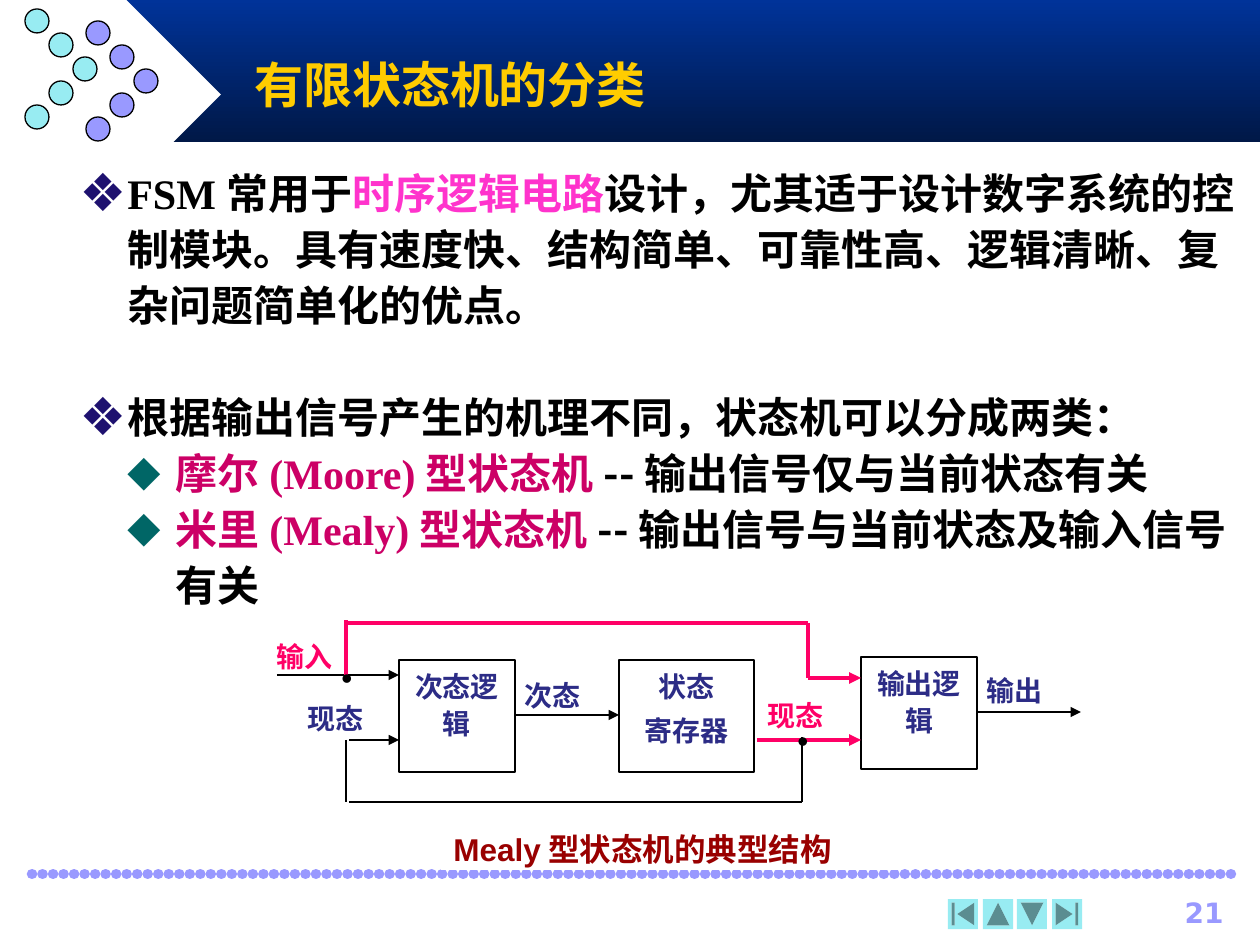
"""Build the slide on the classification of finite state machines."""
from lxml import etree
from pptx import Presentation
from pptx.dml.color import RGBColor
from pptx.enum.dml import MSO_LINE
from pptx.enum.shapes import MSO_CONNECTOR, MSO_SHAPE
from pptx.enum.text import MSO_ANCHOR, PP_ALIGN
from pptx.oxml.ns import qn
from pptx.util import Pt

PX = 914400 / 126
WHITE = RGBColor(0xFF, 0xFF, 0xFF)
BLACK = RGBColor(0x00, 0x00, 0x00)
BAND_TOP = RGBColor(0x00, 0x33, 0x99)
BAND_BOTTOM = RGBColor(0x00, 0x18, 0x47)
LILAC = RGBColor(0x99, 0x99, 0xFF)
AQUA = RGBColor(0x98, 0xEC, 0xF2)
GOLD = RGBColor(0xFF, 0xCC, 0x00)
PINK = RGBColor(0xFF, 0x33, 0xCC)
CRIMSON = RGBColor(0xCC, 0x00, 0x66)
ROSE = RGBColor(0xFF, 0x00, 0x66)
INDIGO = RGBColor(0x2C, 0x2C, 0x86)
MAROON = RGBColor(0x99, 0x00, 0x00)
NAVY = RGBColor(0x1E, 0x11, 0x6F)
TEAL = RGBColor(0x00, 0x66, 0x66)
SERIF, SANS, CJK = "Times New Roman", "Arial", "Noto Sans CJK SC"
DIGITS = "DejaVu Sans"


def add_panel(preset, box, fill=None, edge=None, weight=0.75):
    panel = slide.shapes.add_shape(preset, *(round(v * PX) for v in box))
    panel.shadow.inherit = False
    panel.text_frame.word_wrap = True
    panel.text_frame.vertical_anchor = MSO_ANCHOR.TOP
    if fill is None:
        panel.fill.background()
    else:
        panel.fill.solid()
        panel.fill.fore_color.rgb = fill
    if edge is None:
        panel.line.fill.background()
    else:
        panel.line.color.rgb = edge
        panel.line.width = Pt(weight)
    return panel


def set_font(font, size, name, color):
    font.size, font.name, font.bold = Pt(size), name, True
    font.color.rgb = color
    etree.SubElement(font._rPr, qn("a:ea"), typeface=CJK)


deck = Presentation()
deck.slide_width, deck.slide_height = round(1260 * PX), round(945 * PX)
slide = deck.slides.add_slide(deck.slide_layouts[6])

band = add_panel(MSO_SHAPE.RECTANGLE, (126, 0, 1134, 142), BAND_TOP)
band.fill.gradient()
band.fill.gradient_angle = 270
for stop, color in zip(band.fill.gradient_stops, (BAND_TOP, BAND_BOTTOM)):
    stop.color.rgb = color
add_panel(MSO_SHAPE.DIAMOND, (32, 0, 189, 189), WHITE)
for left, top, color in ((86, 21, LILAC), (25, 9, AQUA)):
    for row, column in enumerate((0, 1, 2, 1, 0)):
        spot = (left + 24 * column, top + 24 * row, 24, 24)
        add_panel(MSO_SHAPE.OVAL, spot, color, BLACK)

buttons = [
    (MSO_SHAPE.ACTION_BUTTON_BEGINNING, 0),
    (MSO_SHAPE.ACTION_BUTTON_BACK_OR_PREVIOUS, 90),
    (MSO_SHAPE.ACTION_BUTTON_FORWARD_OR_NEXT, 90),
    (MSO_SHAPE.ACTION_BUTTON_END, 0),
]
for index, (preset, turn) in enumerate(buttons):
    button = add_panel(preset, (948 + round(34.6 * index), 899, 30, 30), AQUA)
    button.rotation = turn

points = [
    (0, 0, [("FSM常用于", SERIF, BLACK), ("时序逻辑电路", SERIF, PINK),
            ("设计，尤其适于设计数字系统的控制模块。具有速度快、结构简单、"
             "可靠性高、逻辑清晰、复杂问题简单化的优点。", SERIF, BLACK)]),
    (0, 32, [("根据输出信号产生的机理不同，状态机可以分成两类：", CJK, BLACK)]),
    (1, 0, [("摩尔(Moore)型状态机", SERIF, CRIMSON),
            ("--输出信号仅与当前状态有关", CJK, BLACK)]),
    (1, 0, [("米里(Mealy)型状态机", SERIF, CRIMSON),
            ("--输出信号与当前状态及输入信号有关", CJK, BLACK)]),
]
bullets = [("❖", NAVY, 125, DIGITS, 51, -48), ("◆", TEAL, 80, CJK, 99, -48)]
body = add_panel(MSO_SHAPE.RECTANGLE, (64, 156, 1183, 461), WHITE).text_frame
for index, (level, gap, parts) in enumerate(points):
    point = body.add_paragraph() if index else body.paragraphs[0]
    point.alignment, point.level = PP_ALIGN.LEFT, level
    point.line_spacing = Pt(32)
    if gap:
        point.space_before = Pt(gap)
    mark, mark_color, mark_size, mark_face, margin, indent = bullets[level]
    properties = point._p.get_or_add_pPr()
    properties.set("marL", str(round(margin * PX)))
    properties.set("indent", str(round(indent * PX)))
    tint = etree.SubElement(properties, qn("a:buClr"))
    etree.SubElement(tint, qn("a:srgbClr"), val=str(mark_color))
    etree.SubElement(properties, qn("a:buSzPct"), val=str(mark_size * 1000))
    etree.SubElement(properties, qn("a:buFont"), typeface=mark_face)
    etree.SubElement(properties, qn("a:buChar"), char=mark)
    for words, name, color in parts:
        run = point.add_run()
        run.text = words
        set_font(run.font, 24, name, color)

LEFT, CENTER, RIGHT = PP_ALIGN.LEFT, PP_ALIGN.CENTER, PP_ALIGN.RIGHT
labels = [
    ("有限状态机的分类", (242, 42, 945, 84), None, None, LEFT, 1, 28, SANS, GOLD),
    ("21", (1116, 889, 120, 42), None, None, RIGHT, 1, 16, DIGITS, LILAC),
    ("输出", (974, 664, 110, 58), WHITE, None, LEFT, 1.1, 16, SERIF, INDIGO),
    ("现态", (755, 689, 110, 58), WHITE, None, LEFT, 1.1, 16, SERIF, ROSE),
    ("次态", (512, 669, 110, 58), WHITE, None, LEFT, 1.1, 16, SERIF, INDIGO),
    ("现态", (295, 692, 110, 58), WHITE, None, LEFT, 1.1, 16, SERIF, INDIGO),
    ("输入", (264, 630, 110, 58), WHITE, None, LEFT, 1.1, 16, SERIF, ROSE),
    ("次态逻辑", (399, 660, 116, 112), WHITE, BLACK, CENTER, 1.1, 16, SERIF, INDIGO),
    ("状态\n寄存器", (619, 660, 135, 112), WHITE, BLACK, CENTER, 1.1, 16, SERIF, INDIGO),
    ("输出逻辑", (861, 657, 116, 112), WHITE, BLACK, CENTER, 1.1, 16, SERIF, INDIGO),
    ("Mealy型状态机的典型结构", (441, 820, 460, 50), WHITE, None, LEFT, 1.1, 18, SANS, MAROON),
]
junctions = [
    ("•", (left, top, 82, 54), None, None, LEFT, 1.1, 18, SERIF, BLACK)
    for left, top in ((329, 648), (785, 711))
]
dividers = [(left, 874, 1239, 874, LILAC, 6, False) for left in (32, 42.5)]
wires = [
    (277, 675, 399, 675, BLACK, 0.75, True),
    (349, 740, 399, 740, BLACK, 0.75, True),
    (515, 715, 619, 715, BLACK, 0.75, True),
    (757, 740, 861, 740, ROSE, 2.25, True),
    (977, 712, 1081, 712, BLACK, 0.75, True),
    (346, 740, 346, 802, BLACK, 0.75, False),
    (349, 802, 802, 802, BLACK, 0.75, False),
    (802, 802, 802, 737, BLACK, 0.75, False),
    (346, 675, 346, 620, ROSE, 2.25, False),
    (346, 623, 808, 623, ROSE, 2.25, False),
    (808, 623, 808, 678, ROSE, 2.25, False),
    (808, 678, 861, 678, ROSE, 2.25, True),
]

for layer_lines, layer_labels in ((dividers, labels), (wires, junctions)):
    for *ends, color, weight, arrow in layer_lines:
        wire = slide.shapes.add_connector(
            MSO_CONNECTOR.STRAIGHT, *(round(v * PX) for v in ends))
        wire.line.color.rgb = color
        wire.line.width = Pt(weight)
        stroke = wire.line._get_or_add_ln()
        if layer_lines is dividers:
            wire.line.dash_style = MSO_LINE.ROUND_DOT
            stroke.set("cap", "rnd")
        if arrow:
            etree.SubElement(stroke, qn("a:tailEnd"), type="triangle")
        etree.SubElement(wire._element.spPr, qn("a:effectLst"))
    for words, box, fill, edge, align, spacing, size, name, color in layer_labels:
        frame = add_panel(MSO_SHAPE.RECTANGLE, box, fill, edge, 1.25).text_frame
        if color == GOLD:
            frame.vertical_anchor = MSO_ANCHOR.MIDDLE
        frame.text = words
        for index, paragraph in enumerate(frame.paragraphs):
            paragraph.alignment, paragraph.line_spacing = align, spacing
            if index:
                paragraph.space_before = Pt(4)
            set_font(paragraph.font, size, name, color)

deck.save("out.pptx")
